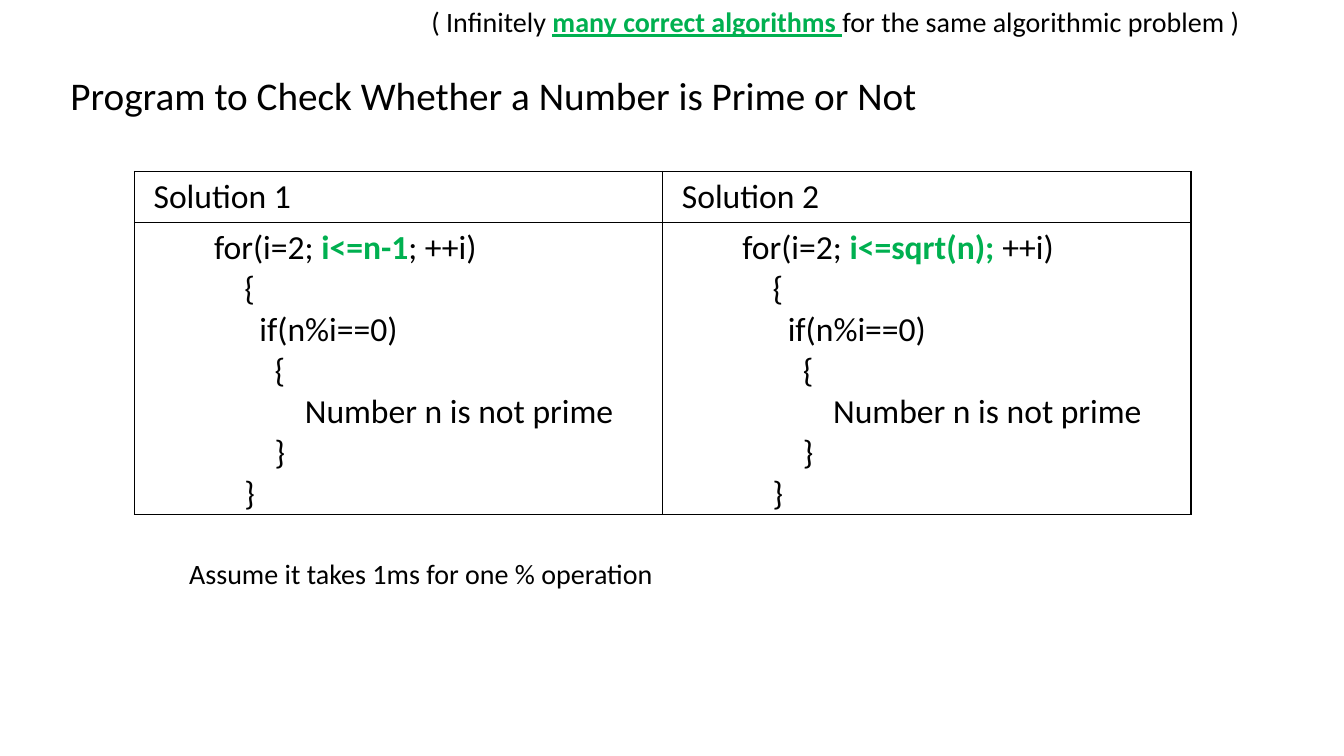
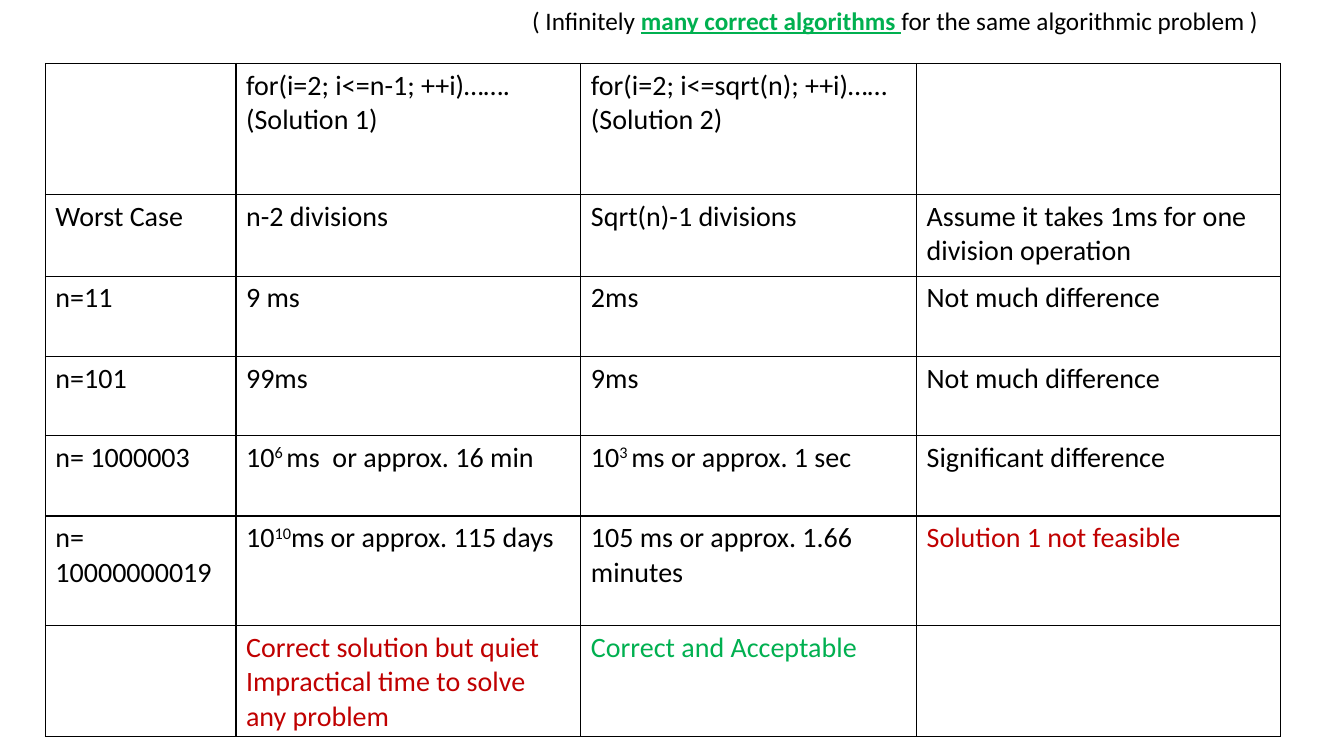
from dataclasses import dataclass

from lxml import etree
from pptx import Presentation
from pptx.dml.color import RGBColor
from pptx.enum.text import MSO_AUTO_SIZE, PP_ALIGN
from pptx.oxml.ns import qn
from pptx.util import Emu, Inches, Pt

GROW = MSO_AUTO_SIZE.SHAPE_TO_FIT_TEXT
LEFT = PP_ALIGN.LEFT
CENTER = PP_ALIGN.CENTER

BLACK = RGBColor(0x00, 0x00, 0x00)
GREEN = RGBColor(0x00, 0xB0, 0x50)
RED = RGBColor(0xC0, 0x00, 0x00)

FONT = "Calibri"
SLIDE_WIDTH = Inches(13.33)
SLIDE_HEIGHT = Inches(7.5)
BORDER_SIDES = ("a:lnL", "a:lnR", "a:lnT", "a:lnB")
BORDER_WIDTH = Pt(1)
HEADING_INDENT = Inches(0.09)
CODE_INDENT = Inches(0.69)
CODE_STEP = Inches(0.15)


@dataclass(frozen=True)
class Run:
    text: str
    color: RGBColor = BLACK
    bold: bool = False
    underline: bool = False
    raised: bool = False


@dataclass(frozen=True)
class Line:
    runs: tuple[Run, ...]
    indent: int = 0


@dataclass(frozen=True)
class Box:
    left: float
    top: float
    width: float
    height: float


@dataclass(frozen=True)
class Grid:
    left: float
    top: float
    columns: tuple[float, ...]
    rows: tuple[float, ...]


Cell = tuple[Line, ...]


def across(percent: float) -> Emu:
    return Emu(round(SLIDE_WIDTH * percent / 100))


def down(percent: float) -> Emu:
    return Emu(round(SLIDE_HEIGHT * percent / 100))


def plain(*texts: str, color: RGBColor = BLACK) -> Cell:
    return tuple(Line((Run(text, color),)) for text in texts)


def power(exponent: str, rest: str) -> Cell:
    return (Line((Run("10"), Run(exponent, raised=True), Run(rest))),)


def heading(text: str) -> Cell:
    return (Line((Run(text),), HEADING_INDENT),)


def loop_code(condition: str, tail: str) -> Cell:
    opening = Line((Run("for(i=2; "), Run(condition, GREEN, bold=True), Run(tail)), CODE_INDENT)
    body = ((2, "{"), (3, "if(n%i==0)"), (4, "{"),
            (6, "Number n is not prime"), (4, "}"), (2, "}"))
    return (opening, *(Line((Run(text),), CODE_INDENT + depth * CODE_STEP)
                       for depth, text in body))


def write(frame, lines: Cell, size: float, align=LEFT) -> None:
    for index, line in enumerate(lines):
        paragraph = frame.add_paragraph() if index else frame.paragraphs[0]
        paragraph.alignment = align
        if line.indent:
            paragraph._p.get_or_add_pPr().set("marL", str(int(line.indent)))
        for part in line.runs:
            run = paragraph.add_run()
            run.text = part.text
            run.font.name = FONT
            run.font.size = Pt(size)
            run.font.bold = part.bold
            run.font.underline = part.underline
            run.font.color.rgb = part.color
            if part.raised:
                run._r.get_or_add_rPr().set("baseline", "30000")


def add_text(slide, box: Box, lines: Cell, size: float, align=LEFT, wrap: bool = True) -> None:
    frame = slide.shapes.add_textbox(
        across(box.left), down(box.top), across(box.width), down(box.height)).text_frame
    frame.word_wrap = wrap
    frame.auto_size = GROW
    write(frame, lines, size, align)


def add_banner(slide, box: Box, size: float) -> None:
    add_text(slide, box, (Line((
        Run("( Infinitely "),
        Run("many correct algorithms ", GREEN, bold=True, underline=True),
        Run("for the same algorithmic problem )"),
    )),), size)


def outline(cell) -> None:
    properties = cell._tc.get_or_add_tcPr()
    for side in BORDER_SIDES:
        border = etree.SubElement(properties, qn(side), w=str(int(BORDER_WIDTH)))
        fill = etree.SubElement(border, qn("a:solidFill"))
        etree.SubElement(fill, qn("a:srgbClr"), val=str(BLACK))


def add_grid(slide, grid: Grid, content: tuple[tuple[Cell, ...], ...], size: float):
    table = slide.shapes.add_table(
        len(grid.rows), len(grid.columns), across(grid.left), down(grid.top),
        across(sum(grid.columns)), down(sum(grid.rows))).table
    table.first_row = False
    table.horz_banding = False
    for column, width in zip(table.columns, grid.columns):
        column.width = across(width)
    for row, height, row_content in zip(table.rows, grid.rows, content):
        row.height = down(height)
        for cell, lines in zip(row.cells, row_content):
            outline(cell)
            cell.fill.background()
            write(cell.text_frame, lines, size)
    return table


def build_solutions(slide) -> None:
    add_text(slide, Box(4.5, 8.8, 69.9, 7.6),
             plain("Program to Check Whether a Number is Prime or Not"), 28)
    add_banner(slide, Box(31.36, 0, 68.64, 5.87), 20)
    solutions = add_grid(slide, Grid(10, 22.67, (39.31,) * 2, (6.8, 38.6)), (
        (heading("Solution 1"), heading("Solution 2")),
        (loop_code("i<=n-1", "; ++i)"), loop_code("i<=sqrt(n); ", "++i)")),
    ), 24)
    for code in solutions.rows[1].cells:
        code.margin_bottom = 0
    add_text(slide, Box(13.13, 72.93, 36.38, 5.87),
             plain("Assume it takes 1ms for one % operation"), 20, CENTER, wrap=False)


def build_comparison(slide) -> None:
    timings = Grid(3.38, 8.4, (14.18, 25.66, 24.98, 27.08),
                   (17.33, 10.8, 10.67, 10.4, 10.67, 14.53, 14.53))
    add_grid(slide, timings, (
        ((), plain("for(i=2; i<=n-1; ++i)…….", "(Solution 1)"),
         plain("for(i=2; i<=sqrt(n); ++i)……", "(Solution 2)"), ()),
        (plain("Worst Case"), plain("n-2 divisions"), plain("Sqrt(n)-1 divisions"),
         plain("Assume it takes 1ms for one division operation")),
        (plain("n=11"), plain("9 ms"), plain("2ms"), plain("Not much difference")),
        (plain("n=101"), plain("99ms"), plain("9ms"), plain("Not much difference")),
        (plain("n= 1000003"), power("6 ", "ms  or approx. 16 min"),
         power("3 ", "ms or approx. 1 sec"), plain("Significant difference")),
        (plain("n= 10000000019"), power("10", "ms or approx. 115 days"),
         plain("105 ms or approx. 1.66 minutes"),
         plain("Solution 1 not feasible", color=RED)),
        ((), plain("Correct solution but quiet Impractical time to solve any problem", color=RED),
         plain("Correct and Acceptable", color=GREEN), ()),
    ), 20)
    add_banner(slide, Box(38.86, 0, 58.36, 5.33), 18)


def main() -> None:
    deck = Presentation()
    deck.slide_width = SLIDE_WIDTH
    deck.slide_height = SLIDE_HEIGHT
    blank = deck.slide_layouts[6]
    for build in (build_solutions, build_comparison):
        build(deck.slides.add_slide(blank))
    deck.save("out.pptx")


if __name__ == "__main__":
    main()
